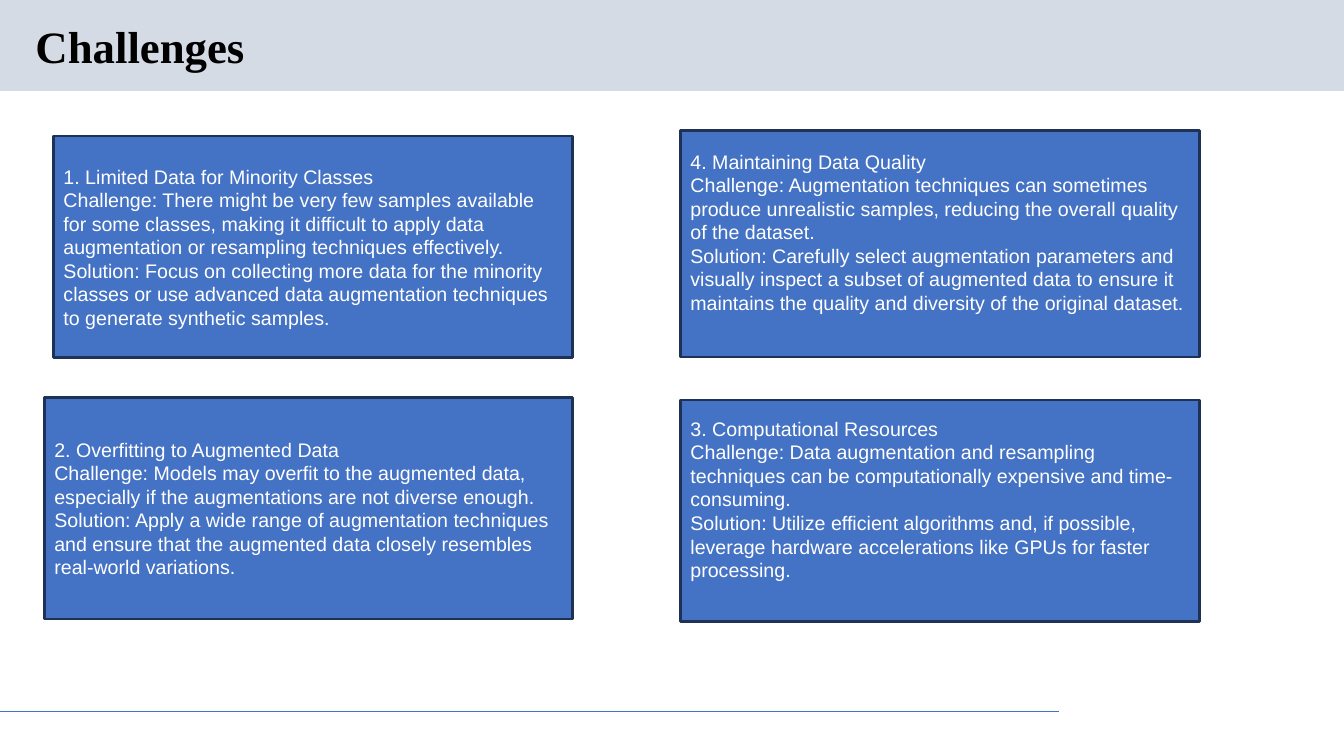
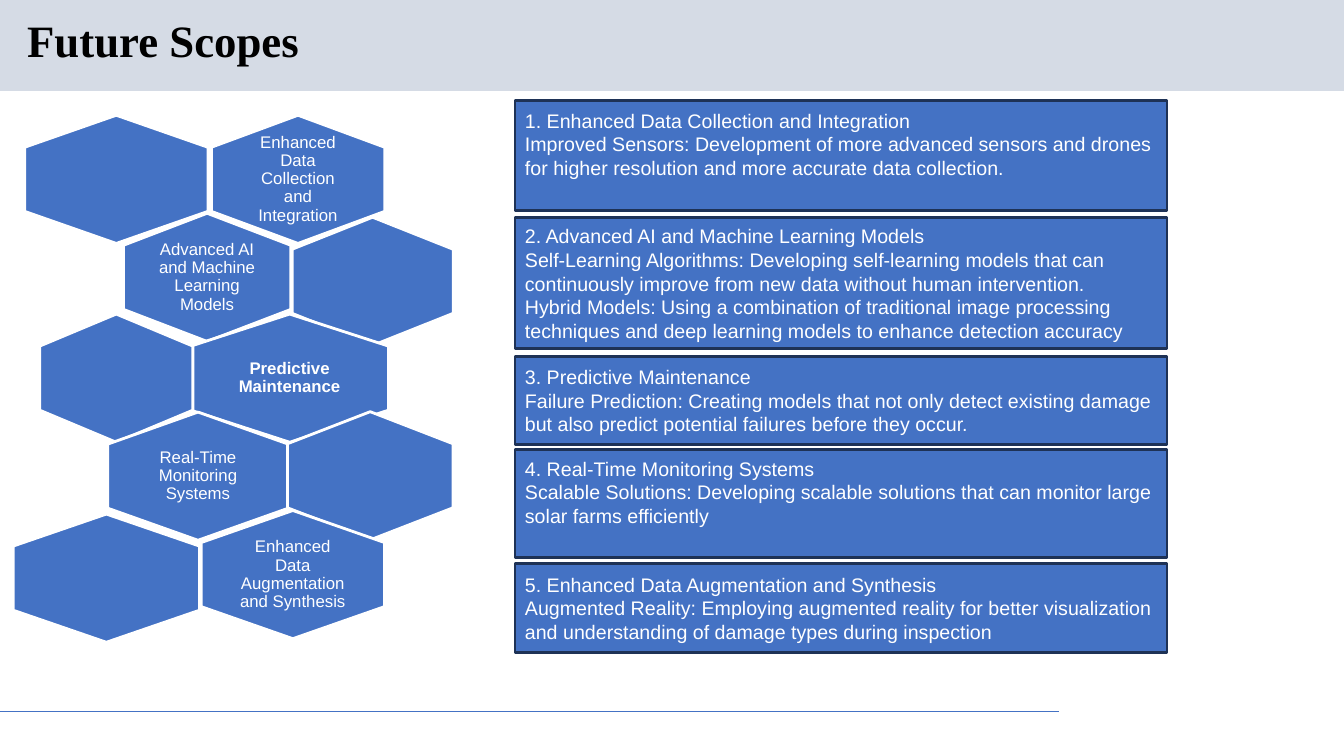
from pptx import Presentation
from pptx.dml.color import RGBColor
from pptx.enum.shapes import MSO_CONNECTOR, MSO_SHAPE
from pptx.enum.text import MSO_ANCHOR, MSO_AUTO_SIZE, PP_ALIGN
from pptx.oxml.ns import qn
from pptx.util import Cm, Pt
from lxml import etree

COLORS = {
    "band": "D5DBE5",
    "blue": "4472C4",
    "outline": "1E3256",
    "white": "FFFFFF",
    "title": "000000",
}
SLIDE_WIDTH, SLIDE_HEIGHT = 33.87, 19.05
TEXT_LINE = 0.59
BOX_INSET = 0.13

# Each box: left, top, width, height in cm, spare lines below the text, paragraphs
CHALLENGES = [
    (1.35, 3.43, 13.08, 5.59, 0, [
        "1. Limited Data for Minority Classes",
        "Challenge: There might be very few samples available for some classes, making it "
        "difficult to apply data augmentation or resampling techniques effectively.",
        "Solution: Focus on collecting more data for the minority classes or use advanced "
        "data augmentation techniques to generate synthetic samples.",
    ]),
    (1.12, 10.01, 13.31, 5.59, 0, [
        "2. Overfitting to Augmented Data",
        "Challenge: Models may overfit to the augmented data, especially if the "
        "augmentations are not diverse enough.",
        "Solution: Apply a wide range of augmentation techniques and ensure that the "
        "augmented data closely resembles real-world variations.",
    ]),
    (17.15, 10.08, 13.08, 5.59, 1, [
        "3. Computational Resources",
        "Challenge: Data augmentation and resampling techniques can be computationally "
        "expensive and time-consuming.",
        "Solution: Utilize efficient algorithms and, if possible, leverage hardware "
        "accelerations like GPUs for faster processing.",
    ]),
    (17.15, 3.28, 13.08, 5.72, 1, [
        "4. Maintaining Data Quality",
        "Challenge: Augmentation techniques can sometimes produce unrealistic samples, "
        "reducing the overall quality of the dataset.",
        "Solution: Carefully select augmentation parameters and visually inspect a subset of "
        "augmented data to ensure it maintains the quality and diversity of the original "
        "dataset.",
    ]),
]

SCOPE_LEFT, SCOPE_WIDTH = 12.98, 16.43
# Each scope: top, height in cm, spare lines below the text, paragraphs
SCOPES = [
    (2.54, 2.77, 1, [
        "1. Enhanced Data Collection and Integration",
        "Improved Sensors: Development of more advanced sensors and drones for higher "
        "resolution and more accurate data collection.",
    ]),
    (5.49, 3.3, 0, [
        "2. Advanced AI and Machine Learning Models",
        "Self-Learning Algorithms: Developing self-learning models that can continuously "
        "improve from new data without human intervention.",
        "Hybrid Models: Using a combination of traditional image processing techniques and "
        "deep learning models to enhance detection accuracy",
    ]),
    (8.99, 2.21, 0, [
        "3. Predictive Maintenance",
        "Failure Prediction: Creating models that not only detect existing damage but also "
        "predict potential failures before they occur.",
    ]),
    (11.33, 2.72, 1, [
        "4. Real-Time Monitoring Systems",
        "Scalable Solutions: Developing scalable solutions that can monitor large solar "
        "farms efficiently",
    ]),
    (14.2, 2.24, 0, [
        "5. Enhanced Data Augmentation and Synthesis",
        "Augmented Reality: Employing augmented reality for better visualization and "
        "understanding of damage types during inspection",
    ]),
]

HEXAGON_HEIGHT = 3.23
# Each hexagon: centre x, centre y, width in cm, label, bold
HEXAGONS = [
    (7.51, 4.52, 4.37, "Enhanced Data Collection and Integration", False),
    (2.93, 4.52, 4.62, "", False),
    (5.22, 6.99, 4.22, "Advanced AI and Machine Learning Models", False),
    (9.39, 7.09, 4.06, "", False),
    (7.3, 9.53, 4.98, "Predictive Maintenance", True),
    (2.93, 9.53, 3.86, "", False),
    (4.99, 12, 4.55, "Real-Time Monitoring Systems", False),
    (9.33, 11.99, 4.17, "", False),
    (7.38, 14.48, 4.62, "Enhanced Data Augmentation and Synthesis", False),
    (2.68, 14.57, 4.7, "", False),
]


def color(name):
    return RGBColor.from_string(COLORS[name])


def format_paragraph(paragraph, size, color_name, alignment, font="Arial", bold=False):
    paragraph.alignment = alignment
    for run in paragraph.runs:
        run.font.name = font
        run.font.size = Pt(size)
        run.font.bold = bold
        run.font.color.rgb = color(color_name)


def add_filled_shape(slide, kind, left, top, width, height, fill, line=None):
    shape = slide.shapes.add_shape(kind, Cm(left), Cm(top), Cm(width), Cm(height))
    shape.shadow.inherit = False
    shape.fill.solid()
    shape.fill.fore_color.rgb = color(fill)
    if line:
        shape.line.color.rgb = color(line)
        shape.line.width = Pt(2)
    else:
        shape.line.fill.background()
    return shape


def add_shared_parts(slide):
    """Draw the band and footer line, then move them to the slide's layout."""
    band = add_filled_shape(slide, MSO_SHAPE.RECTANGLE, 0, 0, SLIDE_WIDTH, 2.29, "band")
    footer = slide.shapes.add_connector(
        MSO_CONNECTOR.STRAIGHT, Cm(0), Cm(17.93), Cm(26.7), Cm(17.93))
    footer.line.color.rgb = color("blue")
    footer.line.width = Pt(0.75)
    etree.SubElement(footer.element.spPr, qn("a:effectLst"))
    layout_tree = slide.slide_layout.shapes.element
    for offset, shape in enumerate((band, footer)):
        shape.element.xpath(".//p:cNvPr")[0].set("id", str(100 + offset))
        layout_tree.insert(2 + offset, shape.element)


def set_title(slide, text, left, top):
    title = slide.shapes.title
    title.left, title.top, title.width, title.height = Cm(left), Cm(top), Cm(29.21), Cm(1.5)
    frame = title.text_frame
    frame.text = text
    frame.auto_size = MSO_AUTO_SIZE.NONE
    frame.vertical_anchor = MSO_ANCHOR.MIDDLE
    paragraph = frame.paragraphs[0]
    paragraph.line_spacing = 0.9
    format_paragraph(paragraph, 32, "title", PP_ALIGN.LEFT, "Times New Roman", True)


def add_box(slide, left, top, width, height, spare_lines, paragraphs):
    box = add_filled_shape(
        slide, MSO_SHAPE.RECTANGLE, left, top, width, height, "blue", "outline")
    frame = box.text_frame
    frame.word_wrap = True
    frame.vertical_anchor = MSO_ANCHOR.MIDDLE
    frame.margin_bottom = Cm(BOX_INSET + spare_lines * TEXT_LINE)
    frame.text = "\n".join(paragraphs)
    for paragraph in frame.paragraphs:
        format_paragraph(paragraph, 14, "white", PP_ALIGN.LEFT)


def add_hexagon(slide, center_x, center_y, width, label, bold):
    """Add a hexagon standing on its point, with an upright label if it has one."""
    hexagon = add_filled_shape(
        slide, MSO_SHAPE.HEXAGON, center_x - HEXAGON_HEIGHT / 2, center_y - width / 2,
        HEXAGON_HEIGHT, width, "blue", "white")
    hexagon.rotation = 90
    if not label:
        return
    label_width, label_height = width * 2 / 3, HEXAGON_HEIGHT * 2 / 3
    text_box = slide.shapes.add_textbox(
        Cm(center_x - label_width / 2), Cm(center_y - label_height / 2),
        Cm(label_width), Cm(label_height))
    frame = text_box.text_frame
    frame.word_wrap = True
    frame.vertical_anchor = MSO_ANCHOR.MIDDLE
    frame.margin_left = frame.margin_right = Cm(0.13)
    frame.margin_top = frame.margin_bottom = Cm(0.13)
    frame.text = label
    paragraph = frame.paragraphs[0]
    paragraph.line_spacing = 0.9
    format_paragraph(paragraph, 12, "white", PP_ALIGN.CENTER, bold=bold)


def main():
    presentation = Presentation()
    presentation.slide_width = Cm(SLIDE_WIDTH)
    presentation.slide_height = Cm(SLIDE_HEIGHT)
    title_only = presentation.slide_layouts[5]

    challenges = presentation.slides.add_slide(title_only)
    add_shared_parts(challenges)
    set_title(challenges, "Challenges", 0.64, 0.48)
    for box in CHALLENGES:
        add_box(challenges, *box)

    future = presentation.slides.add_slide(title_only)
    set_title(future, "Future Scopes", 0.43, 0.33)
    for hexagon in HEXAGONS:
        add_hexagon(future, *hexagon)
    for top, height, spare_lines, paragraphs in SCOPES:
        add_box(future, SCOPE_LEFT, top, SCOPE_WIDTH, height, spare_lines, paragraphs)

    presentation.save("out.pptx")


if __name__ == "__main__":
    main()
